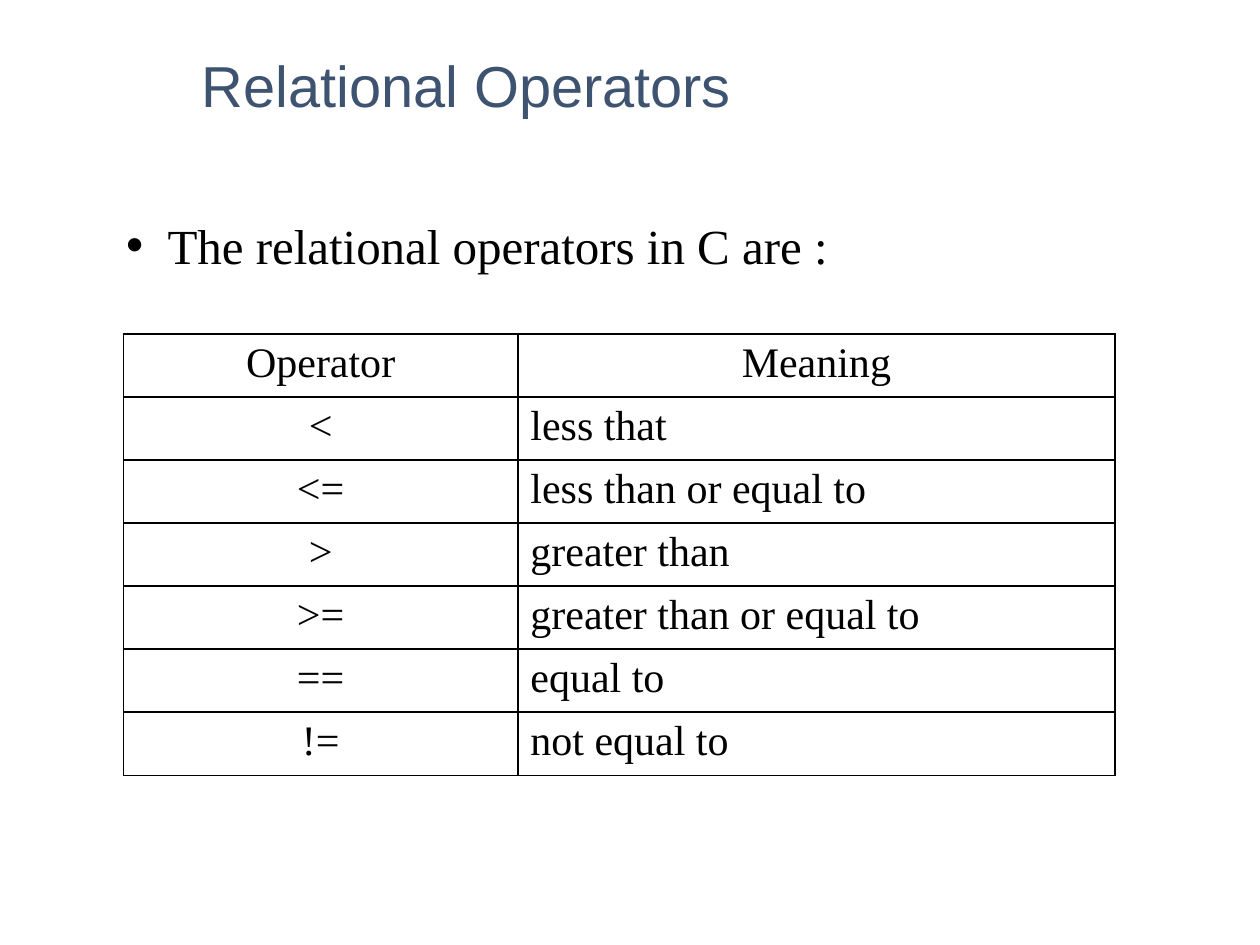
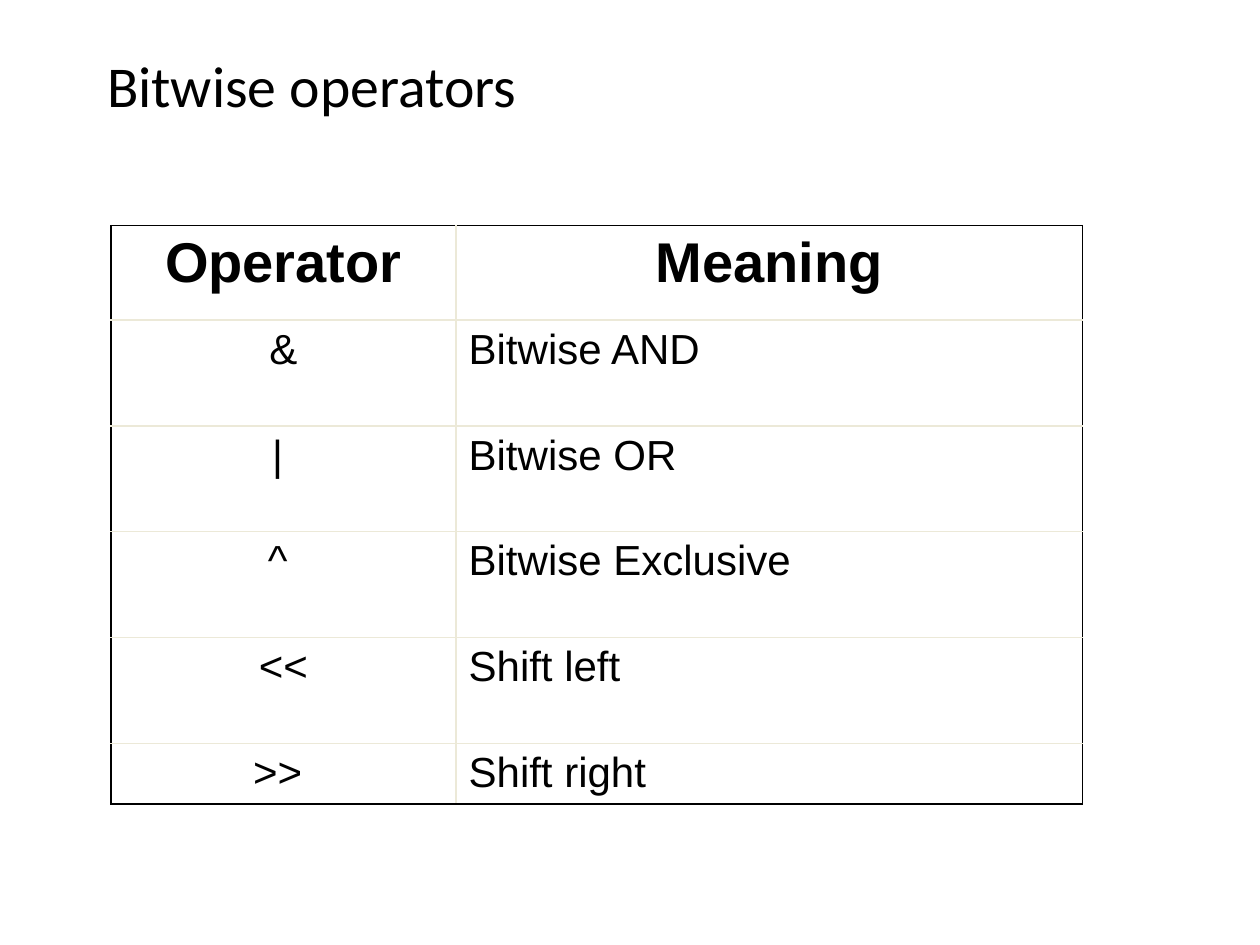
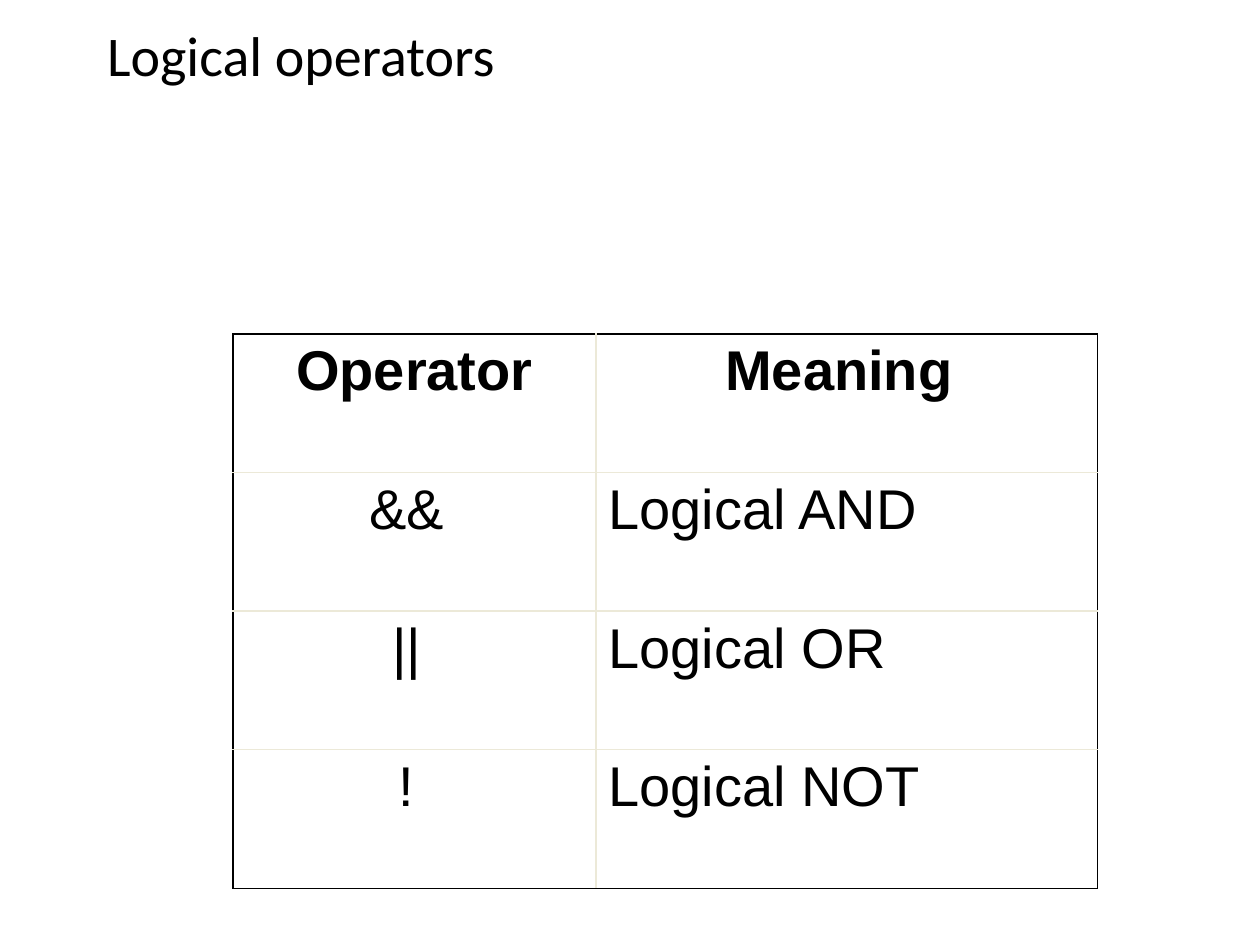
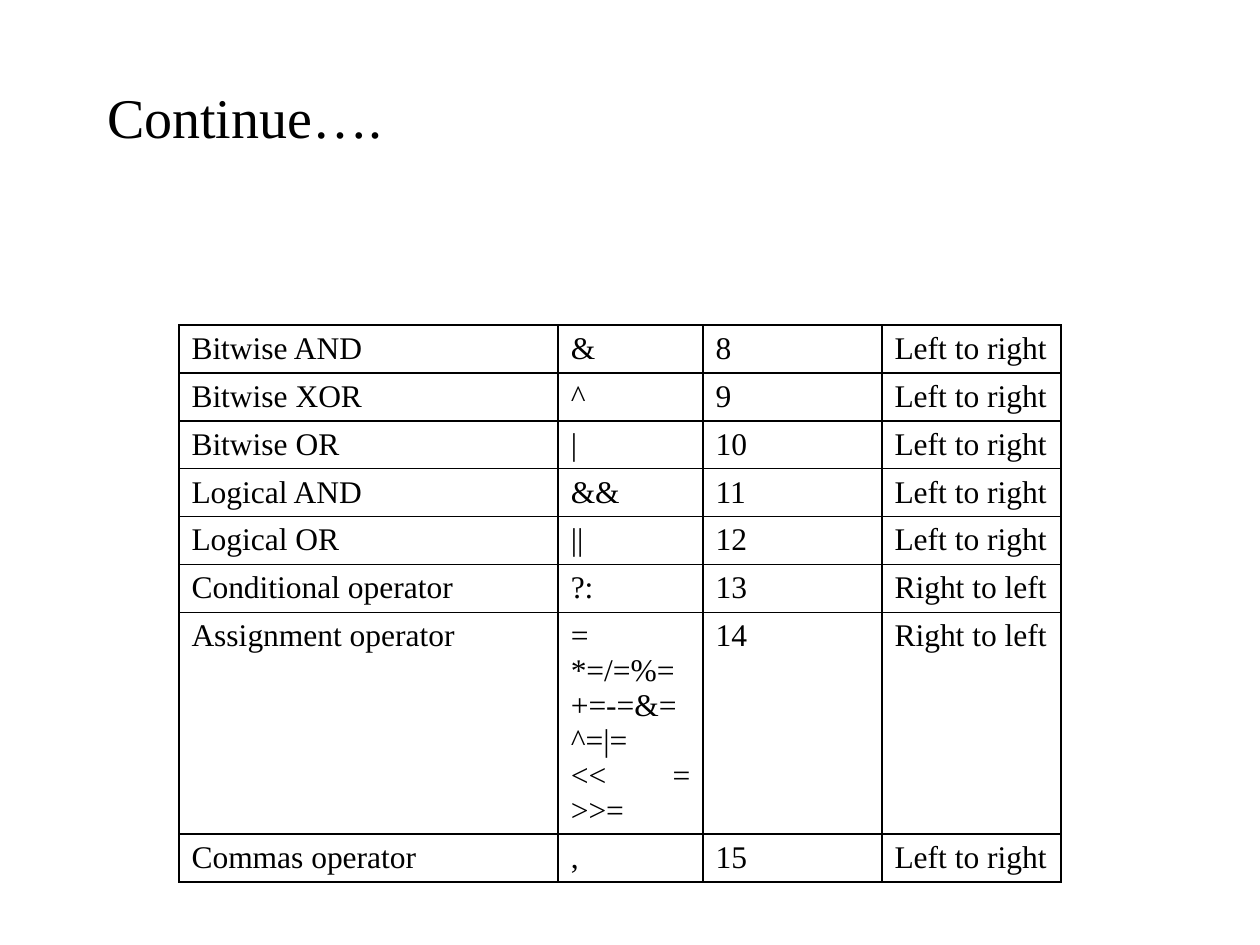
from lxml.etree import SubElement
from pptx import Presentation
from pptx.dml.color import RGBColor
from pptx.enum.text import MSO_ANCHOR as Anchor, MSO_AUTO_SIZE as AutoSize, PP_ALIGN as Align
from pptx.oxml.ns import qn
from pptx.util import Inches, Pt

BLACK = RGBColor(0x00, 0x00, 0x00)
WHITE = RGBColor(0xFF, 0xFF, 0xFF)
SLATE = RGBColor(0x3E, 0x53, 0x70)
BEIGE = RGBColor(0xEC, 0xE9, 0xD8)
SERIF = "Times New Roman"
SANS = "Arial"
TITLE_AND_BODY = 1
TITLE_ONLY = 5


def add_text(paragraph, text, font, size, color=BLACK, bold=False):
    run = paragraph.add_run()
    run.text = text
    run.font.name = font
    run.font.size = Pt(size)
    run.font.color.rgb = color
    run.font.bold = bold


def set_border(cell, side, color):
    line = SubElement(cell._tc.get_or_add_tcPr(), qn(f"a:ln{side}"), w=str(Pt(1)))
    fill = SubElement(line, qn("a:solidFill"))
    SubElement(fill, qn("a:srgbClr"), val=str(color))


LEFT, CENTER, JUSTIFY = Align.LEFT, Align.CENTER, Align.JUSTIFY

PAGES = [
    {
        "title": ("Relational Operators", SANS, 33, SLATE),
        "title_box": (0.75, 0.08, 8.5, 1.25),
        "title_indent": 0.75,
        "bullet": "The relational operators in C are :",
        "table_at": (0.98, 2.65),
        "columns": [3.13, 4.74],
        "row_heights": [3.46 / 7] * 7,
        "aligns": [CENTER, LEFT],
        "font": SERIF, "size": 24, "inner_line": BLACK,
        "rows": [
            ("Operator", "Meaning"),
            ("<", "less that"),
            ("<=", "less than or equal to"),
            (">", "greater than"),
            (">=", "greater than or equal to"),
            ("==", "equal to"),
            ("!=", "not equal to"),
        ],
        "header_size": 24, "header_bold": False,
    },
    {
        "title": ("Bitwise operators", "Calibri", 33, BLACK),
        "title_box": (0.75, 0.08, 8.5, 1.25),
        "table_at": (0.88, 1.79),
        "columns": [2.74, 4.97],
        "row_heights": [0.75] + [0.84] * 4 + [0.48],
        "aligns": [CENTER, LEFT],
        "font": SANS, "size": 24, "inner_line": BEIGE,
        "rows": [
            ("Operator", "Meaning"),
            ("&", "Bitwise AND"),
            ("| ", "Bitwise OR"),
            ("^ ", "Bitwise Exclusive"),
            ("<<", "Shift left"),
            (">> ", "Shift right"),
        ],
        "header_size": 32, "header_bold": True,
    },
    {
        "title": ("Logical operators", "Calibri", 32, BLACK),
        "title_box": (0.75, 0.08, 8.5, 1.25),
        "title_bottom_margin": 0.54,
        "table_at": (1.85, 2.65),
        "columns": [2.88, 3.98],
        "row_heights": [1.1] * 4,
        "aligns": [CENTER, LEFT],
        "font": SANS, "size": 32, "inner_line": BEIGE,
        "rows": [
            ("Operator", "Meaning "),
            ("&& ", "Logical AND"),
            ("|| ", "Logical OR"),
            ("! ", "Logical NOT"),
        ],
        "header_size": 32, "header_bold": True,
    },
    {
        "title": ("Continue….", SERIF, 32, BLACK),
        "title_box": (0.75, 0.33, 8.67, 1.25),
        "table_at": (1.42, 2.58),
        "columns": [3.01, 1.15, 1.42, 1.42],
        "row_heights": [0.38] * 6 + [1.76, 0.38],
        "aligns": [JUSTIFY] * 4,
        "font": SERIF, "size": 18, "inner_line": BLACK,
        "rows": [
            ("Bitwise AND", "&", "8", "Left to right"),
            ("Bitwise XOR", "^", "9", "Left to right"),
            ("Bitwise OR", "|", "10", "Left to right"),
            ("Logical AND", "&&", "11", "Left to right"),
            ("Logical OR", "||", "12", "Left to right"),
            ("Conditional operator", "?:", "13", "Right to left"),
            ("Assignment operator", "=\n*=/=%=\n+=-=&=\n^=|=\n<< = >>=", "14", "Right to left"),
            ("Commas operator", ",", "15", "Left to right"),
        ],
    },
]

presentation = Presentation()
presentation.slide_width = Inches(10)
presentation.slide_height = Inches(7.5)

for page in PAGES:
    layout = TITLE_AND_BODY if "bullet" in page else TITLE_ONLY
    slide = presentation.slides.add_slide(presentation.slide_layouts[layout])

    title = slide.shapes.title
    title.left, title.top, title.width, title.height = map(Inches, page["title_box"])
    frame = title.text_frame
    frame.auto_size = AutoSize.NONE
    frame.vertical_anchor = Anchor.MIDDLE
    frame.margin_bottom = Inches(page.get("title_bottom_margin", 0.05))
    paragraph = frame.paragraphs[0]
    paragraph.alignment = LEFT
    paragraph.line_spacing = 0.9
    paragraph._p.get_or_add_pPr().set("marL", str(Inches(page.get("title_indent", 0))))
    add_text(paragraph, *page["title"])

    if "bullet" in page:
        body = slide.placeholders[1]
        body.left, body.top, body.width, body.height = map(Inches, (0.9, 1.66, 6.54, 0.57))
        frame = body.text_frame
        frame.auto_size = AutoSize.SHAPE_TO_FIT_TEXT
        frame.vertical_anchor = Anchor.MIDDLE
        paragraph = frame.paragraphs[0]
        paragraph.space_before = Pt(0)
        properties = paragraph._p.get_or_add_pPr()
        properties.set("marL", str(Inches(0.33)))
        properties.set("indent", str(-Inches(0.33)))
        SubElement(properties, qn("a:buChar"), char="•")
        add_text(paragraph, page["bullet"], SERIF, 28)

    rows, columns, heights = page["rows"], page["columns"], page["row_heights"]
    left, top = page["table_at"]
    table = slide.shapes.add_table(
        len(rows), len(columns), Inches(left), Inches(top),
        Inches(sum(columns)), Inches(sum(heights))).table
    table.first_row = False
    table.horz_banding = False
    for column, width in zip(table.columns, columns):
        column.width = Inches(width)

    for row_index, row in enumerate(rows):
        table.rows[row_index].height = Inches(heights[row_index])
        is_header = row_index == 0 and "header_size" in page
        size = page["header_size"] if is_header else page["size"]
        bold = is_header and page["header_bold"]
        for column_index, text in enumerate(row):
            cell = table.cell(row_index, column_index)
            outer_sides = {
                "L": column_index == 0,
                "R": column_index == len(columns) - 1,
                "T": row_index == 0,
                "B": row_index == len(rows) - 1,
            }
            for side, is_outer in outer_sides.items():
                set_border(cell, side, BLACK if is_outer else page["inner_line"])
            cell.fill.solid()
            cell.fill.fore_color.rgb = WHITE
            frame = cell.text_frame
            for line_index, line in enumerate(text.split("\n")):
                paragraph = frame.add_paragraph() if line_index else frame.paragraphs[0]
                paragraph.alignment = CENTER if is_header else page["aligns"][column_index]
                add_text(paragraph, line, page["font"], size, bold=bold)

presentation.save("out.pptx")
